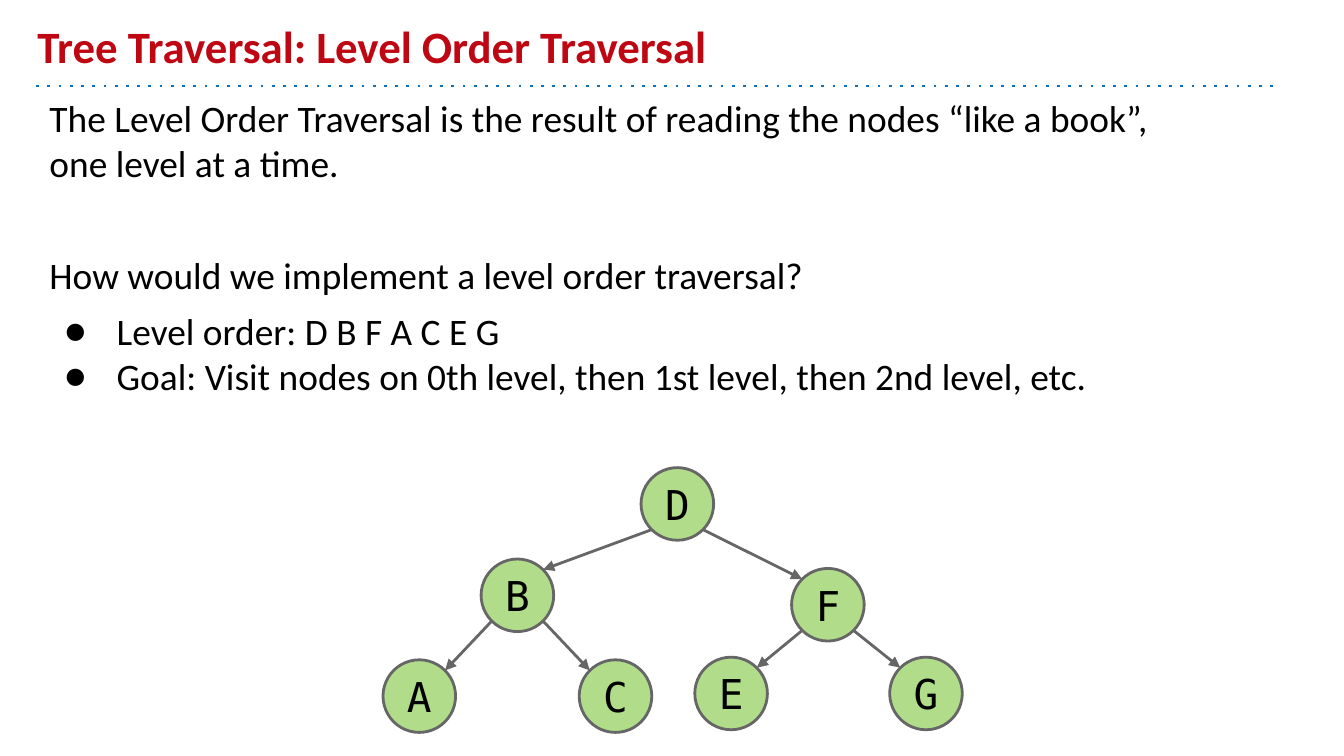
from lxml import etree
from pptx import Presentation
from pptx.dml.color import RGBColor
from pptx.enum.shapes import MSO_CONNECTOR, MSO_SHAPE
from pptx.enum.text import MSO_ANCHOR, PP_ALIGN
from pptx.oxml.ns import qn
from pptx.util import Inches, Pt

STRAIGHT, OVAL = MSO_CONNECTOR.STRAIGHT, MSO_SHAPE.OVAL
TOP, MIDDLE, BOTTOM = MSO_ANCHOR.TOP, MSO_ANCHOR.MIDDLE, MSO_ANCHOR.BOTTOM
CENTER = PP_ALIGN.CENTER


class Theme:
    black = RGBColor.from_string("000000")
    red = RGBColor.from_string("BE0712")
    blue = RGBColor.from_string("1072BD")
    green = RGBColor.from_string("B1DD8B")
    gray = RGBColor.from_string("666666")
    stroke = Pt(1.5)
    title = {"name": "Calibri", "size": Pt(24), "bold": True}
    body = {"name": "Calibri", "size": Pt(20)}
    node = {"name": "DejaVu Sans Mono", "size": Pt(22)}


deck = Presentation()
deck.slide_width = Inches(10)
deck.slide_height = deck.slide_width * 9 // 16
page = deck.slides.add_slide(deck.slide_layouts[6])

# Square grid: 100 columns across the slide
CELL = deck.slide_width // 100


def write(para, text, formats, color):
    para.text = text
    for name, value in formats.items():
        setattr(para.font, name, value)
        setattr(para.runs[0].font, name, value)
    para.runs[0].font.color.rgb = color


def draw_line(start, end, color, ending, **values):
    line = page.shapes.add_connector(
        STRAIGHT, *(round(value * CELL) for value in (*start, *end)))
    line.line.color.rgb = color
    line.line.width = Theme.stroke
    etree.SubElement(line.line._get_or_add_ln(), qn(ending), **values)
    etree.SubElement(line._element.spPr, qn("a:effectLst"))


# Dotted rule under the title
draw_line((2.7, 6.4), (95, 6.4), Theme.blue, "a:prstDash", val="dot")

# Title and body boxes: grid place, anchor, right margin in cells
frames = []
for place, anchor, right in [
    ((1.8, 1, 90, 5.4), BOTTOM, 1),
    ((2.7, 6.1, 97.3, 45.4), TOP, 12),
]:
    box = page.shapes.add_textbox(*(round(value * CELL) for value in place))
    frame = box.text_frame
    frame.word_wrap = True
    frame.vertical_anchor = anchor
    frame.margin_left = frame.margin_top = frame.margin_bottom = CELL
    frame.margin_right = right * CELL
    frames.append(frame)
title, body = frames
write(title.paragraphs[0], "Tree Traversal: Level Order Traversal", Theme.title, Theme.red)

# Body paragraphs: text, points before, bulleted
paragraphs = [
    ("The Level Order Traversal is the result of reading the nodes “like a book”, "
     "one level at a time.", 0, False),
    ("How would we implement a level order traversal?", 36, False),
    ("Level order: D B F A C E G", 6, True),
    ("Goal: Visit nodes on 0th level, then 1st level, then 2nd level, etc.", 0, True),
]
for index, (text, before, bulleted) in enumerate(paragraphs):
    para = body.add_paragraph() if index else body.paragraphs[0]
    if bulleted:
        properties = para._p.get_or_add_pPr()
        properties.set("marL", str(5 * CELL))
        properties.set("indent", str(round(-3.9 * CELL)))
        bullet_color = etree.SubElement(properties, qn("a:buClr"))
        etree.SubElement(bullet_color, qn("a:srgbClr"), val=str(Theme.black))
        etree.SubElement(properties, qn("a:buSzPts"), val="2000")
        etree.SubElement(properties, qn("a:buFont"), typeface=Theme.body["name"])
        etree.SubElement(properties, qn("a:buChar"), char="●")
    write(para, text, Theme.body, Theme.black)
    para.space_before = Pt(before)

# Tree nodes: top left corner in grid cells
DIAMETER = 5.4
nodes = {
    "A": (28.5, 49.1), "C": (43.1, 49.1), "B": (35.8, 41.6), "D": (47.7, 34.8),
    "E": (51.7, 48.9), "F": (58.9, 42.3), "G": (66.2, 48.9),
}
for letter, (left, top) in nodes.items():
    node = page.shapes.add_shape(
        OVAL, *(round(value * CELL) for value in (left, top, DIAMETER, DIAMETER)))
    node.shadow.inherit = False
    node.fill.solid()
    node.fill.fore_color.rgb = Theme.green
    node.line.color.rgb = Theme.gray
    node.line.width = Theme.stroke
    node.text_frame.vertical_anchor = MIDDLE
    para = node.text_frame.paragraphs[0]
    para.alignment = CENTER
    write(para, letter, Theme.node, Theme.black)

# Arrows run between the diagonal points of parent and child circles
RADIUS = DIAMETER / 2
DIAGONAL = RADIUS * 0.71
for parent, child in ["BA", "BC", "FE", "FG", "DB", "DF"]:
    (x1, y1), (x2, y2) = nodes[parent], nodes[child]
    reach = DIAGONAL if x2 > x1 else -DIAGONAL
    draw_line(
        (x1 + RADIUS + reach, y1 + RADIUS + DIAGONAL),
        (x2 + RADIUS - reach, y2 + RADIUS - DIAGONAL),
        Theme.gray, "a:tailEnd", type="triangle")

deck.save("out.pptx")
